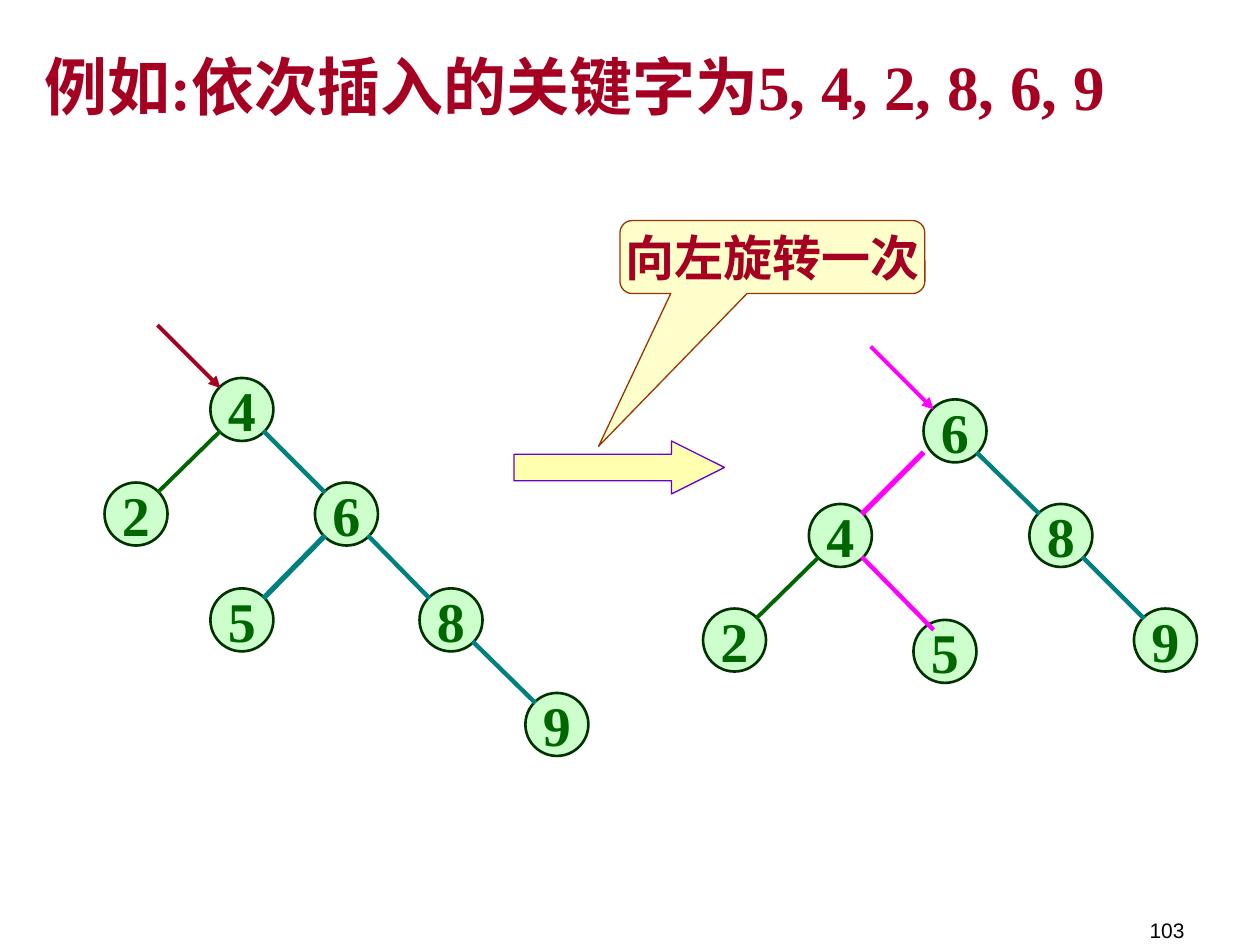
"""Build a slide showing one left rotation of a balanced binary search tree."""
from dataclasses import dataclass

from lxml.etree import SubElement
from pptx import Presentation
from pptx.dml.color import RGBColor
from pptx.enum.shapes import MSO_CONNECTOR, MSO_SHAPE
from pptx.enum.text import MSO_ANCHOR, MSO_AUTO_SIZE, PP_ALIGN
from pptx.oxml.ns import qn
from pptx.util import Inches, Pt


@dataclass(frozen=True)
class Theme:
    red: str = "A50021"
    green: str = "006600"
    dark_green: str = "003300"
    mint: str = "CCFFCC"
    teal: str = "008080"
    magenta: str = "FF00FF"
    cream: str = "FFFFCC"
    brown: str = "993300"
    yellow: str = "FFFFAF"
    violet: str = "6600CC"
    black: str = "000000"
    serif: str = "Times New Roman"
    sans: str = "Arial"
    title_size: int = 36
    key_size: int = 32
    callout_size: int = 28
    number_size: int = 12


theme = Theme()
diameter = 0.5
rim = 0.17
pointer_length = 0.5


def write(box, text, size, color, align=PP_ALIGN.CENTER, anchor=MSO_ANCHOR.MIDDLE,
          font=theme.serif, bold=True):
    frame = box.text_frame
    frame.word_wrap = False
    frame.vertical_anchor = anchor
    para = frame.paragraphs[0]
    para.alignment = align
    span = para.add_run()
    span.text = text
    span.font.name = font
    span.font.size = Pt(size)
    span.font.bold = bold
    span.font.color.rgb = RGBColor.from_string(color)


def draw_line(page, start, end, color, width, arrow=False):
    connector = page.shapes.add_connector(
        MSO_CONNECTOR.STRAIGHT, *(Inches(value) for value in (*start, *end)))
    connector.line.color.rgb = RGBColor.from_string(color)
    connector.line.width = Pt(width)
    properties = connector._element.spPr
    if arrow:
        SubElement(properties.find(qn("a:ln")), qn("a:tailEnd"), type="triangle")
    SubElement(properties, qn("a:effectLst"))


deck = Presentation()
deck.slide_width, deck.slide_height = Inches(10), Inches(7.5)
page = deck.slides.add_slide(deck.slide_layouts[5])

title = page.shapes.title
title.left, title.top = Inches(0.25), Inches(0.33)
title.width, title.height = Inches(8.97), Inches(0.7)
write(title, "例如:依次插入的关键字为5, 4, 2, 8, 6, 9", theme.title_size, theme.red,
      PP_ALIGN.LEFT, MSO_ANCHOR.TOP)
title.text_frame.auto_size = MSO_AUTO_SIZE.SHAPE_TO_FIT_TEXT

trees = [
    {
        "root": "4",
        "pointer": theme.red,
        "centers": {"4": (1.92, 3.25), "2": (1.08, 4.08), "6": (2.75, 4.08),
                    "5": (1.92, 4.92), "8": (3.58, 4.92), "9": (4.42, 5.75)},
        "edges": [("4", "2", theme.green, 2.25, 0, 0), ("4", "6", theme.teal, 2.5, 0, 0),
                  ("6", "5", theme.teal, 3, 0, 0), ("6", "8", theme.teal, 2.5, 0, 0),
                  ("8", "9", theme.teal, 2.5, 0, 0)],
    },
    {
        "root": "6",
        "pointer": theme.magenta,
        "centers": {"6": (7.58, 3.42), "4": (6.67, 4.25), "2": (5.83, 5.08),
                    "8": (8.42, 4.25), "9": (9.25, 5.08), "5": (7.5, 5.17)},
        "edges": [("4", "2", theme.green, 2.25, 0, 0), ("6", "4", theme.magenta, 3, -0.08, 0),
                  ("6", "8", theme.teal, 2.5, 0, 0), ("8", "9", theme.teal, 2.5, 0, 0),
                  ("4", "5", theme.magenta, 2.5, 0, 0.08)],
    },
]

for tree in trees:
    centers = tree["centers"]
    for key, (x, y) in centers.items():
        node = page.shapes.add_shape(
            MSO_SHAPE.OVAL, Inches(x - diameter / 2), Inches(y - diameter / 2),
            Inches(diameter), Inches(diameter))
        node.shadow.inherit = False
        node.fill.solid()
        node.fill.fore_color.rgb = RGBColor.from_string(theme.mint)
        node.line.color.rgb = RGBColor.from_string(theme.dark_green)
        node.line.width = Pt(1.5)
        write(node, key, theme.key_size, theme.green)
    for parent, child, color, width, start_shift, end_shift in tree["edges"]:
        (parent_x, parent_y), (child_x, child_y) = centers[parent], centers[child]
        side = rim if child_x > parent_x else -rim
        draw_line(page, (parent_x + side + start_shift, parent_y + rim),
                  (child_x - side + end_shift, child_y - rim), color, width)
    tip_x, tip_y = (value - rim for value in centers[tree["root"]])
    draw_line(page, (tip_x - pointer_length, tip_y - pointer_length), (tip_x, tip_y),
              tree["pointer"], 2.25, arrow=True)

callout = page.shapes.add_shape(MSO_SHAPE.ROUNDED_RECTANGULAR_CALLOUT, Inches(4.92),
                                Inches(1.75), Inches(2.42), Inches(0.58))
callout.adjustments[0], callout.adjustments[1], callout.adjustments[2] = -0.57, 2.59, 0.17
write(callout, "向左旋转一次", theme.callout_size, theme.red)

step_arrow = page.shapes.add_shape(MSO_SHAPE.RIGHT_ARROW, Inches(4.08), Inches(3.5),
                                   Inches(1.67), Inches(0.42))
step_arrow.adjustments[0], step_arrow.adjustments[1] = 0.5, 1

for shape, fill, outline in [(callout, theme.cream, theme.brown),
                             (step_arrow, theme.yellow, theme.violet)]:
    shape.shadow.inherit = False
    shape.fill.solid()
    shape.fill.fore_color.rgb = RGBColor.from_string(fill)
    shape.line.color.rgb = RGBColor.from_string(outline)
    shape.line.width = Pt(0.75)

page_number = page.shapes.add_textbox(Inches(7.17), Inches(7.03), Inches(2.33), Inches(0.5))
write(page_number, "103", theme.number_size, theme.black, PP_ALIGN.RIGHT,
      MSO_ANCHOR.BOTTOM, theme.sans, bold=False)
page_number.text_frame.word_wrap = True

deck.save("out.pptx")
